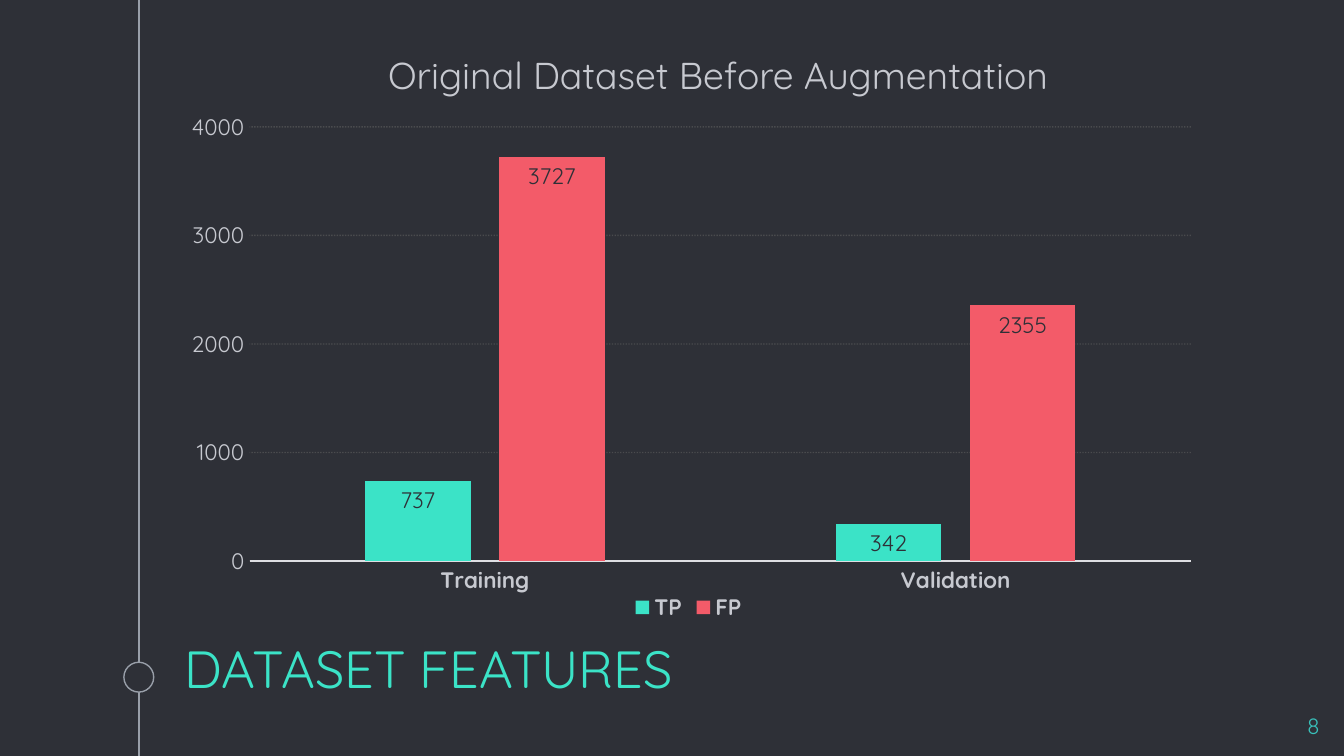
from dataclasses import dataclass

from lxml import etree
from pptx import Presentation
from pptx import oxml as ox
from pptx.chart import data as cd
from pptx.dml import color as col
from pptx.enum import chart as ch
from pptx.enum import dml, shapes, text
from pptx.oxml import ns
from pptx.util import Pt


@dataclass(frozen=True)
class Theme:
    face: str = "Quicksand"
    back: col.RGBColor = col.RGBColor(0x2E, 0x30, 0x37)
    pale: col.RGBColor = col.RGBColor(0xC7, 0xC9, 0xD0)
    rail: col.RGBColor = col.RGBColor(0x99, 0x9F, 0xA9)
    axis: col.RGBColor = col.RGBColor(0xDE, 0xDF, 0xE3)
    grid: col.RGBColor = col.RGBColor(0x66, 0x66, 0x66)
    mint: col.RGBColor = col.RGBColor(0x3B, 0xE3, 0xC7)
    teal: col.RGBColor = col.RGBColor(0x39, 0xC0, 0xBA)
    rose: col.RGBColor = col.RGBColor(0xF3, 0x5B, 0x69)
    large: int = 28
    head: int = 20
    small: int = 12


T = Theme()


def write(box, words, size=T.small, color=T.pale,
          align=text.PP_ALIGN.LEFT, anchor=text.MSO_ANCHOR.TOP):
    frame = box.text_frame
    frame.word_wrap = True
    frame.auto_size = text.MSO_AUTO_SIZE.NONE
    frame.vertical_anchor = anchor
    frame.margin_left = frame.margin_right = Pt(7.2)
    frame.margin_top = frame.margin_bottom = Pt(7.2)
    para = frame.paragraphs[0]
    para.alignment = align
    run = para.add_run()
    run.text = words
    style(run.font, size, color, False)


def style(font, size, color, bold):
    font.name = T.face
    font.size = Pt(size)
    font.bold = bold
    font.color.rgb = color


deck = Presentation()
deck.slide_width, deck.slide_height = Pt(720), Pt(405)
slide = deck.slides.add_slide(deck.slide_layouts[5])
slide.background.fill.solid()
slide.background.fill.fore_color.rgb = T.back

rail = slide.shapes.add_connector(
    shapes.MSO_CONNECTOR.STRAIGHT, Pt(74.4), Pt(0), Pt(74.4), Pt(405))
rail.line.color.rgb = T.rail
rail.line.width = Pt(0.75)
etree.SubElement(rail.element.spPr, ns.qn("a:effectLst"))

dot = slide.shapes.add_shape(
    shapes.MSO_SHAPE.OVAL, Pt(66.4), Pt(354.8), Pt(16), Pt(16))
dot.shadow.inherit = False
dot.fill.solid()
dot.fill.fore_color.rgb = T.back
dot.line.color.rgb = T.rail
dot.line.width = Pt(0.75)

title = slide.shapes.title
title.left, title.top = Pt(91.4), Pt(333.4)
title.width, title.height = Pt(592.6), Pt(33.8)
write(title, "DATASET FEATURES", size=T.large, color=T.mint)

page = slide.shapes.add_textbox(Pt(671), Pt(374.4), Pt(43.2), Pt(24.5))
write(page, "8", color=T.teal, align=text.PP_ALIGN.RIGHT)

data = cd.CategoryChartData(number_format="General")
data.categories = ["Training", "Validation"]
data.add_series("TP", [737, 342])
data.add_series("FP", [3727, 2355])
chart = slide.shapes.add_chart(
    ch.XL_CHART_TYPE.COLUMN_CLUSTERED,
    Pt(91.4), Pt(54.7), Pt(557.3), Pt(295.9), data).chart
chart.has_title = False
style(chart.font, T.small, T.pale, False)

plot = chart.plots[0]
plot.vary_by_categories = False
plot.gap_width = 219
plot.overlap = -27
for series, tint in zip(plot.series, [T.mint, T.rose]):
    series.format.fill.solid()
    series.format.fill.fore_color.rgb = tint
    labels = series.data_labels
    labels.show_value = True
    labels.position = ch.XL_LABEL_POSITION.INSIDE_END
    style(labels.font, T.small, T.back, False)

cats, vals = chart.category_axis, chart.value_axis
for axis, bold in [(cats, True), (vals, False)]:
    axis.major_tick_mark = axis.minor_tick_mark = ch.XL_TICK_MARK.NONE
    style(axis.tick_labels.font, T.small, T.pale, bold)
cats.format.line.color.rgb = T.axis
cats.format.line.width = Pt(0.75)
vals.format.line.fill.background()
vals.minimum_scale, vals.maximum_scale, vals.major_unit = 0, 4000, 1000
grid = vals.major_gridlines.format.line
grid.color.rgb = T.grid
grid.width = Pt(0.75)
grid.dash_style = dml.MSO_LINE.ROUND_DOT
tone = vals.major_gridlines._xAx.find(".//" + ns.qn("a:srgbClr"))
etree.SubElement(tone, ns.qn("a:alpha"), val="50000")

chart.has_legend = True
key = chart.legend
key.position = ch.XL_LEGEND_POSITION.BOTTOM
key.include_in_layout = False
style(key.font, T.small, T.pale, True)

root = chart.element
area = root.find(".//" + ns.qn("c:plotArea"))
for old in area.findall(ns.qn("c:layout")):
    area.remove(old)
legend = root.find(".//" + ns.qn("c:legend"))
for old in legend.findall(ns.qn("c:layout")):
    legend.remove(old)
spots = [
    (area, 0, [("layoutTarget", "inner"), ("xMode", "edge"), ("yMode", "edge"),
               ("x", "0.076"), ("y", "0.045"), ("w", "0.905"), ("h", "0.786")]),
    (legend, 1, [("xMode", "edge"), ("yMode", "edge"),
                 ("x", "0.44"), ("y", "0.88")]),
]
for host, place, parts in spots:
    layout = ox.parse_xml(f"<c:layout {ns.nsdecls('c')}><c:manualLayout/></c:layout>")
    for name, val in parts:
        etree.SubElement(layout[0], ns.qn("c:" + name), val=val)
    host.insert(place, layout)

head = slide.shapes.add_textbox(Pt(191.5), Pt(38.2), Pt(386.6), Pt(20.9))
write(head, "Original Dataset Before Augmentation", size=T.head,
      align=text.PP_ALIGN.CENTER, anchor=text.MSO_ANCHOR.BOTTOM)

deck.save("out.pptx")
